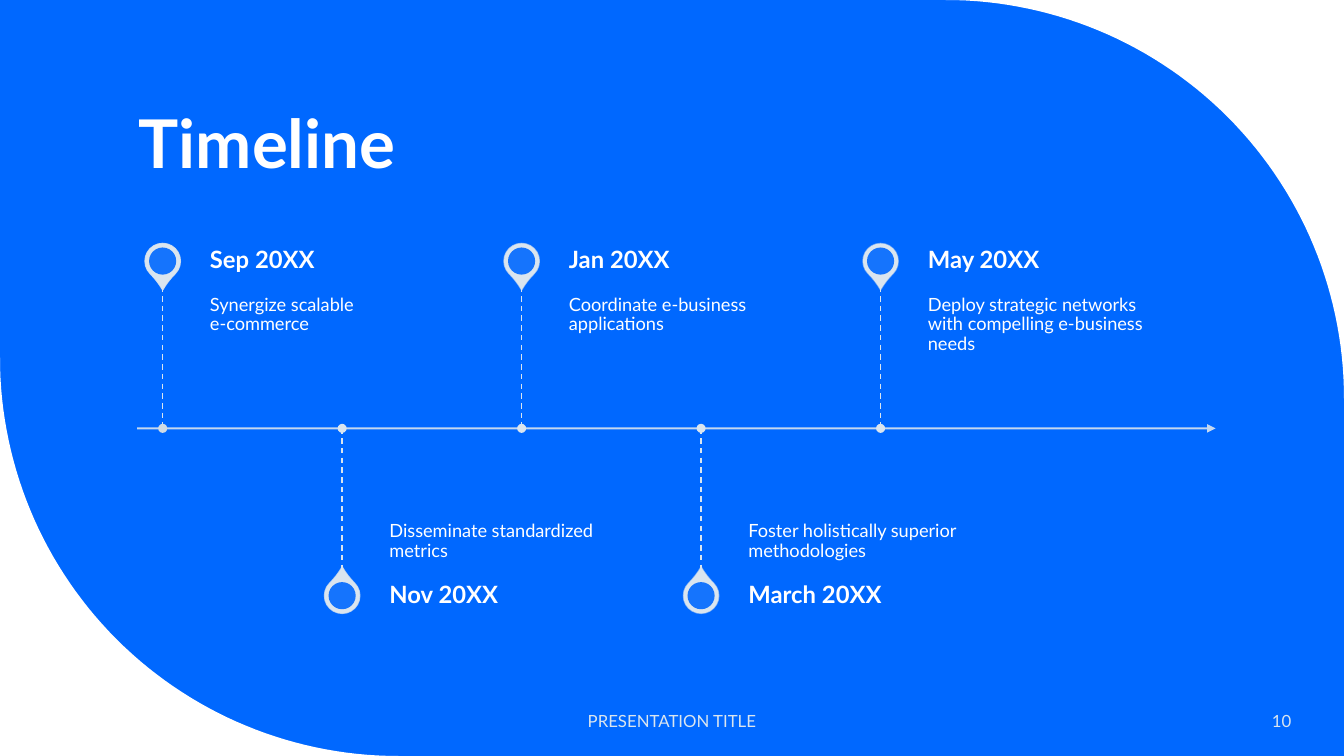
from dataclasses import dataclass
from math import cos, pi, sin

from lxml import etree
from pptx import Presentation
from pptx.dml.color import RGBColor
from pptx.enum import dml, shapes, text
from pptx.oxml import ns
from pptx.util import Pt

BLUE = RGBColor(0x00, 0x68, 0xFF)
WHITE = RGBColor(0xFF, 0xFF, 0xFF)
PALE = RGBColor(0xDA, 0xE5, 0xEF)
PALE_SHADE = RGBColor(0xD0, 0xDB, 0xE4)
FONT = "Lato"

WIDTH, HEIGHT = 960, 540
CORNER_RADIUS = 284.5
CORNER_STEPS = 60
AXIS_Y = 306
FIRST_X, STEP_X = 116.2, 128.2
STEM = 101.5
PIN_OFFSET = 119.5
PIN_SIZE, HOLE_SIZE, DOT_SIZE = 25.2, 19.4, 6.5
LABEL_OFFSET, LABEL_WIDTH, DATE_HEIGHT = 33.8, 182.5, 36

TOP, MIDDLE, BOTTOM = (
    text.MSO_ANCHOR.TOP, text.MSO_ANCHOR.MIDDLE, text.MSO_ANCHOR.BOTTOM)
LEFT, CENTER, RIGHT = (
    text.PP_ALIGN.LEFT, text.PP_ALIGN.CENTER, text.PP_ALIGN.RIGHT)


@dataclass(frozen=True)
class Milestone:
    date: str
    detail: str
    dot: RGBColor = PALE


@dataclass(frozen=True)
class Style:
    size: float
    color: RGBColor = WHITE
    bold: bool = False
    anchor: text.MSO_ANCHOR = MIDDLE
    align: text.PP_ALIGN = LEFT
    spacing: float = 1.0
    insets: tuple[float, float, float, float] = (7.2, 3.6, 7.2, 3.6)


MILESTONES = [
    Milestone("Sep 20XX", "Synergize scalable\ve-commerce", PALE_SHADE),
    Milestone("Nov 20XX", "Disseminate standardized metrics"),
    Milestone("Jan 20XX", "Coordinate e-business applications"),
    Milestone("March 20XX", "Foster holistically superior methodologies"),
    Milestone("May 20XX",
              "Deploy strategic networks with compelling e-business needs"),
]
TITLE = Style(48, bold=True, anchor=BOTTOM, spacing=0.9)
DATE = Style(17, bold=True, spacing=0.9, insets=(0, 0, 8.6, 0))
DETAIL_ABOVE = Style(13, anchor=TOP, spacing=0.9, insets=(0, 6.5, 6.5, 10))
DETAIL_BELOW = Style(13, anchor=BOTTOM, spacing=0.9, insets=(0, 10, 0, 6.5))
FOOTER = Style(12, PALE, align=CENTER)
PAGE_NUMBER = Style(12, PALE, align=RIGHT)


def set_opacity(sp, parent: str, percent: int) -> None:
    for color in sp._element.xpath(f"./p:spPr/{parent}a:solidFill/a:srgbClr"):
        alpha = etree.SubElement(color, ns.qn("a:alpha"))
        alpha.set("val", str(percent * 1000))


def add_text(s, content: str, left: float, top: float, width: float,
             height: float, style: Style) -> None:
    sp = s.shapes.add_textbox(Pt(left), Pt(top), Pt(width), Pt(height))
    tf = sp.text_frame
    tf.word_wrap = True
    tf.vertical_anchor = style.anchor
    (tf.margin_left, tf.margin_top,
     tf.margin_right, tf.margin_bottom) = map(Pt, style.insets)
    p = tf.paragraphs[0]
    p.text = content
    p.alignment = style.align
    p.line_spacing = style.spacing
    p.font.name = FONT
    p.font.size = Pt(style.size)
    p.font.bold = style.bold
    p.font.color.rgb = style.color


def add_centered(s, kind: shapes.MSO_SHAPE, x: float, y: float, size: float,
                 fill: RGBColor):
    sp = s.shapes.add_shape(kind, Pt(x - size / 2), Pt(y - size / 2),
                            Pt(size), Pt(size))
    sp.shadow.inherit = False
    sp.fill.solid()
    sp.fill.fore_color.rgb = fill
    sp.line.fill.background()
    return sp


def add_line(s, x1: float, y1: float, x2: float, y2: float, weight: float):
    line = s.shapes.add_connector(shapes.MSO_CONNECTOR.STRAIGHT,
                                  Pt(x1), Pt(y1), Pt(x2), Pt(y2))
    line.line.color.rgb = PALE
    line.line.width = Pt(weight)
    etree.SubElement(line._element.spPr, ns.qn("a:effectLst"))
    return line


def add_corner(s, corner_x: float, corner_y: float, direction: int) -> None:
    center_x = corner_x - direction * CORNER_RADIUS
    center_y = corner_y + direction * CORNER_RADIUS
    angles = [pi / 2 * i / CORNER_STEPS for i in range(CORNER_STEPS + 1)]
    arc = [(Pt(center_x + direction * CORNER_RADIUS * sin(a)),
            Pt(center_y - direction * CORNER_RADIUS * cos(a))) for a in angles]
    builder = s.shapes.build_freeform(Pt(corner_x), Pt(corner_y))
    builder.add_line_segments(arc, close=True)
    sp = builder.convert_to_shape()
    sp.shadow.inherit = False
    sp.fill.solid()
    sp.fill.fore_color.rgb = WHITE
    sp.line.fill.background()


def add_axis(s) -> None:
    axis = add_line(s, 98, AXIS_Y, 868.3, AXIS_Y, 1.5)
    set_opacity(axis, "a:ln/", 90)
    tail = etree.SubElement(axis.line._get_or_add_ln(), ns.qn("a:tailEnd"))
    tail.set("type", "triangle")


def add_milestone(s, index: int, item: Milestone) -> None:
    above = index % 2 == 0
    side = -1 if above else 1
    x = FIRST_X + index * STEP_X
    pin_y = AXIS_Y + side * PIN_OFFSET

    pin = add_centered(s, shapes.MSO_SHAPE.TEAR, x, pin_y, PIN_SIZE, PALE)
    pin.adjustments[0] = 1.15
    pin.rotation = 135 if above else 315
    pin.line.color.rgb = PALE
    pin.line.width = Pt(1)
    set_opacity(pin, "a:ln/", 90 - 10 * index)
    hole = add_centered(s, shapes.MSO_SHAPE.OVAL, x, pin_y, HOLE_SIZE, BLUE)
    set_opacity(hole, "", 90)

    label_x = x + LABEL_OFFSET
    add_text(s, item.detail, label_x, AXIS_Y - STEM if above else AXIS_Y,
             LABEL_WIDTH, STEM, DETAIL_ABOVE if above else DETAIL_BELOW)
    add_text(s, item.date, label_x, pin_y - DATE_HEIGHT / 2,
             LABEL_WIDTH, DATE_HEIGHT, DATE)

    start, end = sorted((AXIS_Y, AXIS_Y + side * STEM))
    stem = add_line(s, x, start, x, end, 1)
    stem.line.dash_style = dml.MSO_LINE.DASH
    add_centered(s, shapes.MSO_SHAPE.OVAL, x, AXIS_Y, DOT_SIZE, item.dot)


def main() -> None:
    prs = Presentation()
    prs.slide_width, prs.slide_height = Pt(WIDTH), Pt(HEIGHT)
    s = prs.slides.add_slide(prs.slide_layouts[6])
    s.background.fill.solid()
    s.background.fill.fore_color.rgb = BLUE
    add_corner(s, WIDTH, 0, 1)
    add_corner(s, 0, HEIGHT, -1)
    add_text(s, "Timeline", 92, 30.2, 769.7, 104.4, TITLE)
    add_axis(s)
    for index, item in enumerate(MILESTONES):
        add_milestone(s, index, item)
    add_text(s, "PRESENTATION TITLE", 318, 500.4, 324, 28.8, FOOTER)
    add_text(s, "10", 799.2, 500.4, 130.3, 28.8, PAGE_NUMBER)
    prs.save("out.pptx")


if __name__ == "__main__":
    main()
